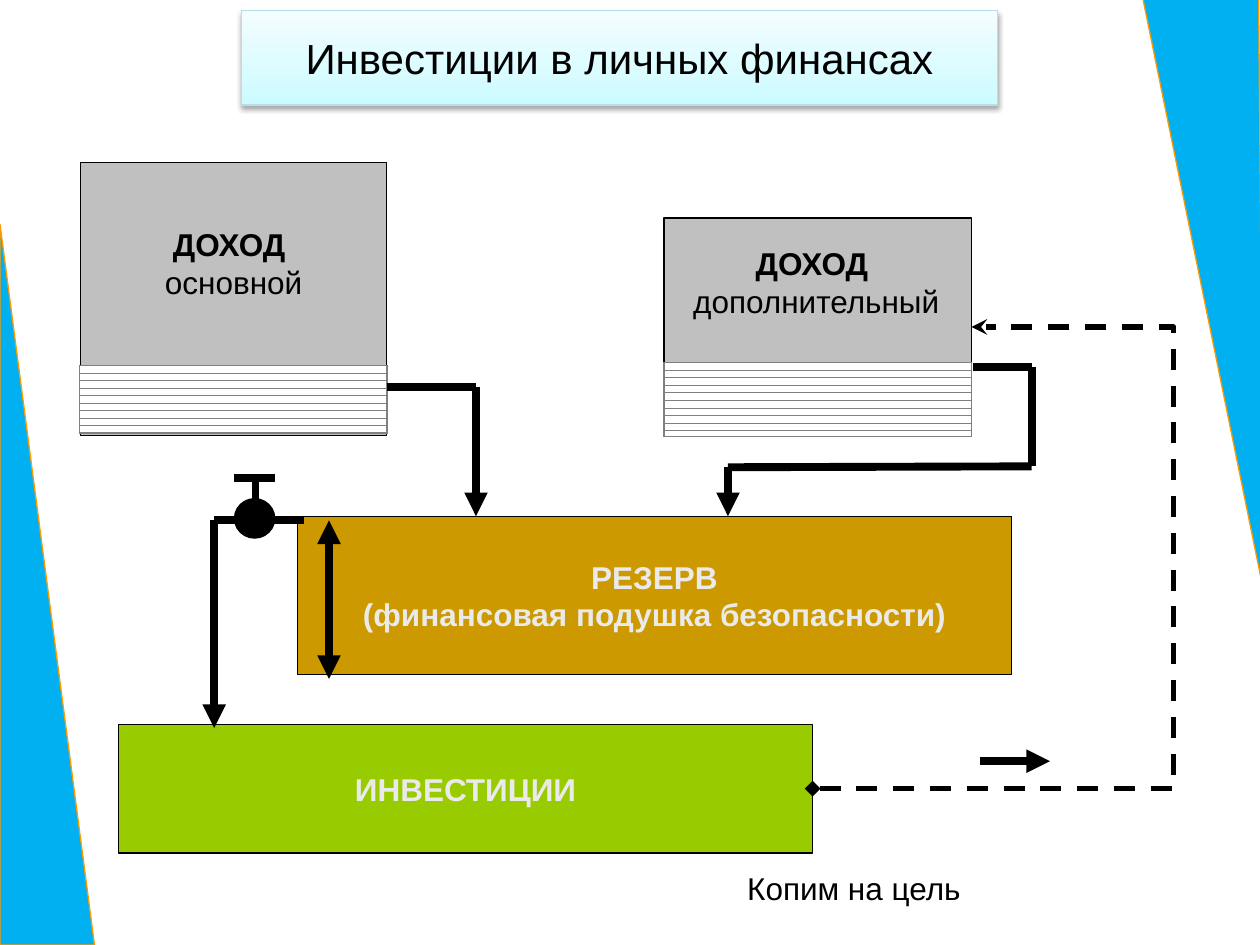
from lxml import etree
from pptx import Presentation
from pptx import oxml, util as u
from pptx.dml.color import RGBColor
from pptx.enum import dml, shapes, text
from pptx.oxml import ns

Pt = u.Pt
BLACK, GRAY, PALE = "000000", "C0C0C0", "EAEAEA"
SKY, ORANGE, HATCH = "00B0F0", "FF9900", "808080"


def rgb(value):
    return RGBColor.from_string(value)


def child(parent, tag, **attributes):
    return etree.SubElement(parent, ns.qn(tag), **attributes)


class Scheme:
    font = "Arial"
    size = 18
    outline = 0.75
    pipe_width = 4.5

    def __init__(self, slide):
        self.slide = slide

    def set_lines(self, frame, lines, color=BLACK, bold=(), size=None):
        frame.word_wrap = True
        frame.text = "\n".join(lines)
        for number, paragraph in enumerate(frame.paragraphs):
            paragraph.alignment = text.PP_ALIGN.CENTER
            for run in paragraph.runs:
                run.font.name = self.font
                run.font.size = Pt(size or self.size)
                run.font.bold = number in bold
                run.font.color.rgb = rgb(color)

    def title(self, wording, left, top, width, height):
        title = self.slide.shapes.title
        title.left, title.top = Pt(left), Pt(top)
        title.width, title.height = Pt(width), Pt(height)
        title.fill.gradient()
        title.fill.gradient_angle = 270
        for stop, color in zip(title.fill.gradient_stops, ("F4FDFF", "CCFBFF")):
            stop.color.rgb = rgb(color)
        title.line.color.rgb = rgb("B5DFE6")
        title.line.width = Pt(self.outline)
        effects = child(title._element.spPr, "a:effectLst")
        shadow = child(effects, "a:outerShdw", blurRad="40000", dist="23000",
                       dir="5400000", rotWithShape="0")
        child(child(shadow, "a:srgbClr", val=BLACK), "a:alpha", val="35000")
        title.text_frame.vertical_anchor = text.MSO_ANCHOR.MIDDLE
        self.set_lines(title.text_frame, [wording], size=24)

    def shape(self, preset, left, top, width, height, fill, line=BLACK):
        shape = self.slide.shapes.add_shape(
            preset, Pt(left), Pt(top), Pt(width), Pt(height))
        shape.shadow.inherit = False
        shape.fill.solid()
        shape.fill.fore_color.rgb = rgb(fill)
        shape.line.color.rgb = rgb(line)
        shape.line.width = Pt(self.outline)
        return shape

    def block(self, left, top, width, height, fill, lines=(), color=PALE,
              bold=(0, 1), lift=0):
        block = self.shape(shapes.MSO_SHAPE.RECTANGLE, left, top, width, height, fill)
        frame = block.text_frame
        frame.vertical_anchor = text.MSO_ANCHOR.MIDDLE
        frame.margin_bottom = Pt(3.6 + lift)
        if lines:
            self.set_lines(frame, lines, color, bold)
        return block

    def label(self, left, top, width, height, lines, bold=()):
        box = self.slide.shapes.add_textbox(Pt(left), Pt(top), Pt(width), Pt(height))
        self.set_lines(box.text_frame, lines, bold=bold)
        box.text_frame.auto_size = text.MSO_AUTO_SIZE.SHAPE_TO_FIT_TEXT

    def connector(self, kind, start, end, width, head=None, tail=None, dash=None):
        connector = self.slide.shapes.add_connector(kind, *map(Pt, start + end))
        connector.line.color.rgb = rgb(BLACK)
        connector.line.width = Pt(width)
        if dash:
            connector.line.dash_style = dash
        properties = connector._element.spPr
        outline = properties.get_or_add_ln()
        for tag, arrow in (("a:headEnd", head), ("a:tailEnd", tail)):
            if arrow:
                child(outline, tag, type=arrow)
        child(properties, "a:effectLst")
        return connector

    def pipe(self, *points, head=None, tail=None):
        last = len(points) - 2
        for number, (start, end) in enumerate(zip(points, points[1:])):
            self.connector(shapes.MSO_CONNECTOR.STRAIGHT, start, end, self.pipe_width,
                           head if number == 0 else None,
                           tail if number == last else None)

    def feedback(self, source, target, bend):
        loop = self.connector(shapes.MSO_CONNECTOR.ELBOW, (464, 451), (555, 187), 3,
                              "diamond", "stealth", dml.MSO_LINE.DASH)
        loop.begin_connect(source, 3)
        loop.end_connect(target, 3)
        geometry = loop._element.spPr.find(ns.qn("a:prstGeom"))
        guides = geometry.find(ns.qn("a:avLst"))
        if guides is None:
            guides = child(geometry, "a:avLst")
        child(guides, "a:gd", name="adj1", fmla=f"val {bend}")

    def hatched_share(self, left, top, width, height):
        table = self.slide.shapes.add_table(
            1, 1, Pt(left), Pt(top), Pt(width), Pt(height)).table
        table.first_row = table.horz_banding = False
        cell = table.cell(0, 0)
        cell.fill.patterned()
        cell.fill.pattern = dml.MSO_PATTERN.DASHED_HORIZONTAL
        cell.fill.fore_color.rgb = rgb(HATCH)
        cell.fill.back_color.rgb = rgb("FFFFFF")
        properties = cell._tc.get_or_add_tcPr()
        for place, side in enumerate("LRTB"):
            border = oxml.parse_xml(
                f'<a:ln{side} {ns.nsdecls("a")} w="{Pt(1)}"><a:solidFill>'
                f'<a:srgbClr val="{HATCH}"/></a:solidFill></a:ln{side}>')
            properties.insert(place, border)


def main():
    presentation = Presentation()
    presentation.slide_width, presentation.slide_height = Pt(720), Pt(540)
    scheme = Scheme(presentation.slides.add_slide(presentation.slide_layouts[5]))

    scheme.title("Инвестиции в личных финансах", 138, 6, 432, 54)
    scheme.block(46, 93, 175, 156, GRAY, ["ДОХОД ", "основной"], BLACK, (0,), lift=41.4)

    triangle = shapes.MSO_SHAPE.RIGHT_TRIANGLE
    right_corner = scheme.shape(triangle, 517.7, 135.4, 339.8, 66.2, SKY, ORANGE)
    right_corner.rotation = 89.5
    right_corner._element.spPr.xfrm.set("flipV", "1")
    scheme.shape(triangle, 0, 128.2, 54, 411.8, SKY, ORANGE)

    extra_income = scheme.block(379.5, 124.6, 175.7, 124.6, GRAY)
    scheme.block(170, 295, 408, 90.5, "CC9900",
                 ["РЕЗЕРВ", "(финансовая подушка безопасности)"])
    investments = scheme.block(67.7, 414, 396.7, 73.4, "99CC00", ["ИНВЕСТИЦИИ"])

    scheme.pipe((556, 209.5), (589.5, 209.5), (589.5, 266.5), (416, 267),
                (416, 295), tail="triangle")
    scheme.pipe((188, 297.4), (188, 388), head="triangle", tail="triangle")
    scheme.pipe((173.5, 297.4), (122.4, 297.4), (122.4, 416), tail="triangle")
    scheme.shape(shapes.MSO_SHAPE.FLOWCHART_CONNECTOR, 134, 285, 23, 22.5, BLACK)
    scheme.pipe((134, 273), (157, 273))
    scheme.pipe((146, 273.5), (146, 285))

    scheme.hatched_share(45.4, 208.8, 175.7, 38.6)
    scheme.hatched_share(379.5, 207.2, 175.7, 42.3)
    scheme.label(385, 136, 163, 50.4, ["ДОХОД ", "дополнительный"], bold=(0,))

    scheme.feedback(investments, extra_income, 227200)
    scheme.pipe((221, 221), (272, 221), (272, 295), tail="triangle")
    scheme.pipe((560, 435), (600, 435), tail="triangle")
    scheme.label(386, 493, 204, 29, ["Копим на цель"])

    presentation.save("out.pptx")


if __name__ == "__main__":
    main()
